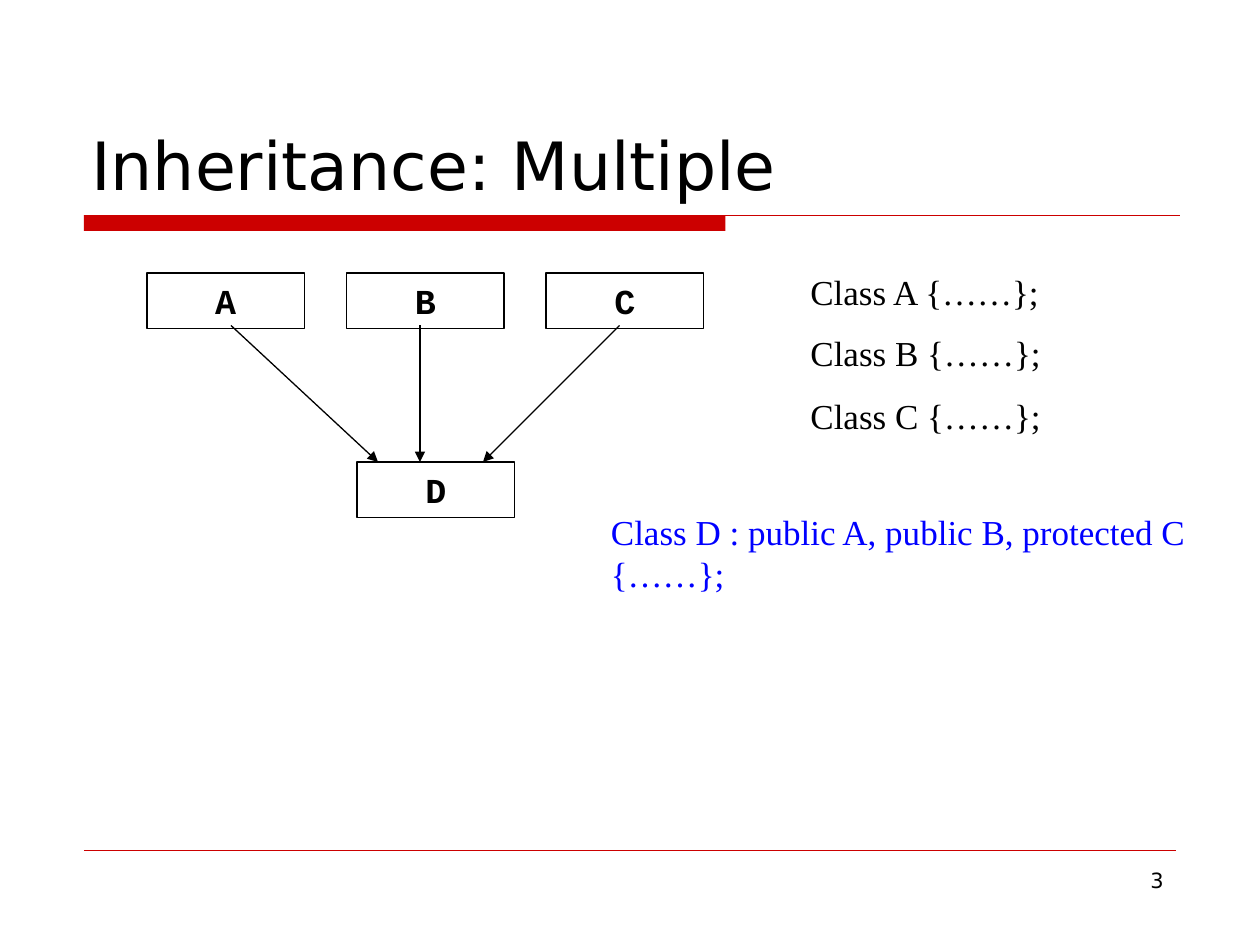
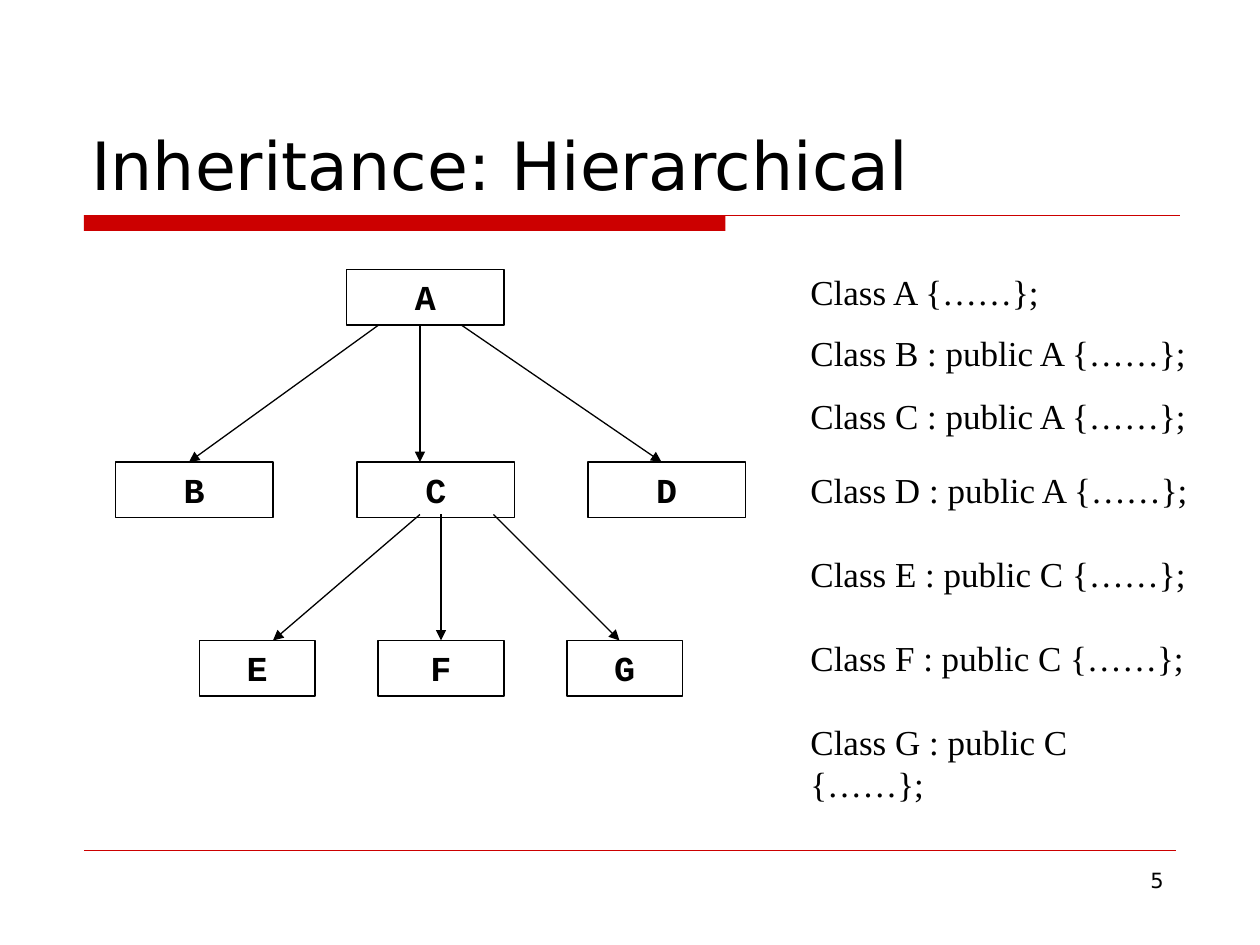
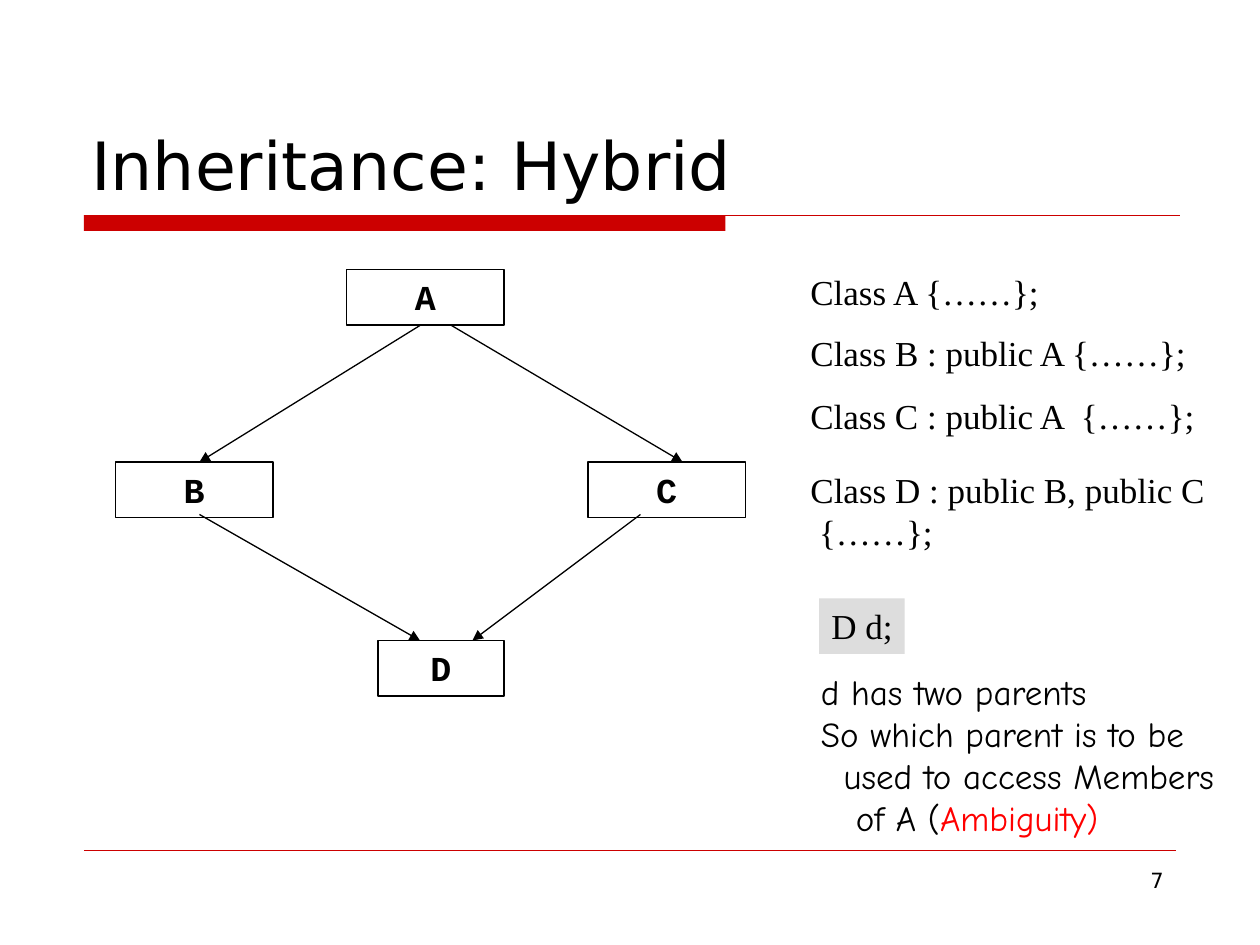
from lxml.etree import SubElement
from pptx import Presentation
from pptx.dml.color import RGBColor
from pptx.enum.shapes import MSO_CONNECTOR, MSO_SHAPE
from pptx.enum.text import MSO_ANCHOR, PP_ALIGN
from pptx.oxml.ns import qn
from pptx.util import Pt

BLACK, RED, BLUE, GRAY, ALERT = "000000", "CC0000", "0000FF", "DDDDDD", "FF0000"
TITLE_FONT, BOX_FONT, CODE_FONT, NOTE_FONT = (
    "DejaVu Sans", "Courier New", "Times New Roman", "Comic Neue")
BOX_HEIGHT, LINE_PITCH = 31.7, 24
TOP, MIDDLE, BOTTOM = 154, 264, 366
CODE_LEFT = 456
CODE_TOPS = (151, 186, 222, 264, 312, 360, 408)

# boxes: name -> (left, top, width)
# arrows: (start x, start y, end x, target box)
# code: (text, width), one for each place in CODE_TOPS
SLIDES = [
    {
        "title": "Inheritance: Multiple", "number": "3",
        "boxes": {"A": (84, 156, 90), "B": (198, 156, 90),
                  "C": (312, 156, 90), "D": (204, MIDDLE, 90)},
        "arrows": [(132, 186, 216, "D"), (240, 186, 240, "D"), (354, 186, 276, "D")],
        "code": [("Class A {……};", 147), ("Class B {……};", 146),
                 ("Class C {……};", 146)],
    },
    {
        "title": "Inheritance: Hierarchical", "number": "5",
        "boxes": {"A": (198, TOP, 90), "B": (66, MIDDLE, 90),
                  "C": (204, MIDDLE, 90), "D": (336, MIDDLE, 90),
                  "E": (114, BOTTOM, 66), "F": (216, BOTTOM, 72),
                  "G": (324, BOTTOM, 66)},
        "arrows": [(216, 186, 108, "B"), (240, 186, 240, "C"), (264, 186, 378, "D"),
                   (240, 294, 156, "E"), (252, 294, 252, "F"), (282, 294, 354, "G")],
        "code": [("Class A {……};", 147), ("Class B : public A {……};", 231),
                 ("Class C : public A {……};", 231), ("Class D : public A {……};", 232),
                 ("Class E : public C {……};", 229), ("Class F : public C {……};", 228),
                 ("Class G : public C {……};", 231)],
    },
    {
        "title": "Inheritance: Hybrid", "number": "7",
        "boxes": {"A": (198, TOP, 90), "B": (66, MIDDLE, 90),
                  "C": (336, MIDDLE, 90), "D": (216, BOTTOM, 72)},
        "arrows": [(240, 186, 114, "B"), (258, 186, 390, "C"),
                   (114, 294, 240, "D"), (366, 294, 270, "D")],
        "code": [("Class A {……};", 147), ("Class B : public A {……};", 231),
                 ("Class C : public A  {……};", 236),
                 ("Class D : public B, public C\n{……};", 240)],
    },
]
DERIVED_CLASS = "Class D : public A, public B, protected C {……};"
OBJECT_DECLARATION = "D d;"
AMBIGUITY_NOTE = ["d has two parents", "So which parent is to be",
                  "used to access Members", "of A ("]
NOTE_INDENTS = (0, 0, 13, 20)
AMBIGUITY = "Ambiguity)"


def color(hex_value):
    return RGBColor.from_string(hex_value)


def write(shape, text, font, size=20, text_color=BLACK, bold=False, wrap=False,
          align=PP_ALIGN.LEFT, anchor=MSO_ANCHOR.TOP, pitch=None, indents=()):
    frame = shape.text_frame
    frame.text = text
    frame.word_wrap = wrap
    frame.vertical_anchor = anchor
    for paragraph in frame.paragraphs:
        paragraph.alignment = align
        if pitch:
            paragraph.line_spacing = Pt(pitch)
        for run in paragraph.runs:
            style(run, font, size, text_color, bold)
    for paragraph, indent in zip(frame.paragraphs, indents):
        properties = paragraph._p.get_or_add_pPr()
        properties.set("marL", str(Pt(indent)))
        properties.set("indent", "0")


def style(run, font, size, text_color, bold=False):
    run.font.name = font
    run.font.size = Pt(size)
    run.font.bold = bold
    run.font.color.rgb = color(text_color)


def add_text(slide, left, top, width, height, text, font, **options):
    box = slide.shapes.add_textbox(Pt(left), Pt(top), Pt(width), Pt(height))
    write(box, text, font, **options)
    return box


def add_rectangle(slide, left, top, width, height, fill=None, line=None):
    rectangle = slide.shapes.add_shape(
        MSO_SHAPE.RECTANGLE, Pt(left), Pt(top), Pt(width), Pt(height))
    rectangle.shadow.inherit = False
    if fill:
        rectangle.fill.solid()
        rectangle.fill.fore_color.rgb = color(fill)
    else:
        rectangle.fill.background()
    if line:
        rectangle.line.color.rgb = color(line)
        rectangle.line.width = Pt(0.75)
    else:
        rectangle.line.fill.background()
    return rectangle


def add_line(slide, start, end, line_color, width, arrow=False):
    line = slide.shapes.add_connector(
        MSO_CONNECTOR.STRAIGHT, *(Pt(value) for value in start + end))
    line.line.color.rgb = color(line_color)
    line.line.width = Pt(width)
    if arrow:
        SubElement(line.line._get_or_add_ln(), qn("a:tailEnd"), type="triangle")
    SubElement(line._element.spPr, qn("a:effectLst"))
    return line


def add_frame(slide, title, number):
    """Add the red rules, the title and the slide number."""
    add_rectangle(slide, 48, 123, 366.5, 9, fill=RED)
    add_line(slide, (48, 123), (674.5, 123), RED, 0.75)
    add_line(slide, (48, 486), (672, 486), RED, 0.25)
    add_text(slide, 45, 24, 630, 96, title, TITLE_FONT, size=38, wrap=True,
             anchor=MSO_ANCHOR.BOTTOM)
    add_text(slide, 516, 492, 156, 37.5, number, TITLE_FONT, size=12, wrap=True,
             align=PP_ALIGN.RIGHT)


def add_diagram(slide, boxes, arrows):
    rectangles = {}
    for name, (left, top, width) in boxes.items():
        rectangles[name] = add_rectangle(slide, left, top, width, BOX_HEIGHT, line=BLACK)
        write(rectangles[name], name, BOX_FONT, bold=True, wrap=True,
              align=PP_ALIGN.CENTER, pitch=LINE_PITCH)
    for start_x, start_y, end_x, target in arrows:
        left, top, width = boxes[target]
        arrow = add_line(slide, (start_x, start_y), (end_x, top), BLACK, 0.75, arrow=True)
        if end_x == left + width / 2:
            arrow.end_connect(rectangles[target], 0)


def add_code(slide, code):
    for (text, width), top in zip(code, CODE_TOPS):
        extra_lines = text.count("\n")
        add_text(slide, CODE_LEFT, top, width, BOX_HEIGHT + extra_lines * LINE_PITCH,
                 text, CODE_FONT, pitch=LINE_PITCH, indents=(0, 5) if extra_lines else ())


def add_ambiguity(slide):
    declaration = add_rectangle(slide, 468, 342, 49, BOX_HEIGHT, fill=GRAY)
    write(declaration, OBJECT_DECLARATION, CODE_FONT, pitch=LINE_PITCH)
    note = add_text(slide, 462, 379.5, 240, 103.5, "\n".join(AMBIGUITY_NOTE), NOTE_FONT,
                    pitch=LINE_PITCH, indents=NOTE_INDENTS)
    run = note.text_frame.paragraphs[-1].add_run()
    run.text = AMBIGUITY
    style(run, NOTE_FONT, 20, ALERT)


def main():
    presentation = Presentation()
    presentation.slide_width, presentation.slide_height = Pt(720), Pt(540)
    slides = []
    for content in SLIDES:
        slide = presentation.slides.add_slide(presentation.slide_layouts[6])
        add_frame(slide, content["title"], content["number"])
        add_diagram(slide, content["boxes"], content["arrows"])
        add_code(slide, content["code"])
        slides.append(slide)
    multiple, _, hybrid = slides
    add_text(multiple, 342, 288, 355.5, 55.5, DERIVED_CLASS, CODE_FONT,
             text_color=BLUE, wrap=True, pitch=LINE_PITCH)
    add_ambiguity(hybrid)
    presentation.save("out.pptx")


if __name__ == "__main__":
    main()
